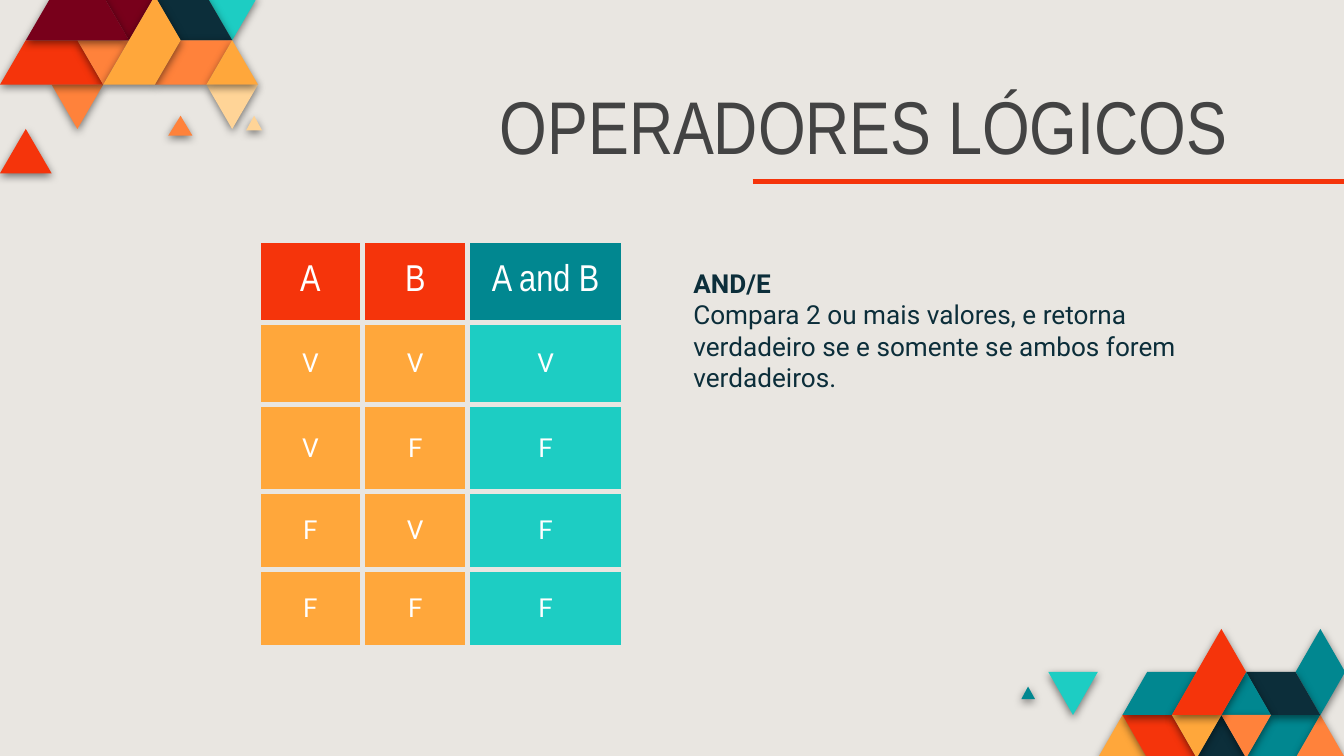
from pptx import Presentation
from pptx.dml.color import RGBColor
from pptx.enum.shapes import MSO_CONNECTOR
from pptx.enum.text import MSO_ANCHOR, PP_ALIGN
from pptx.oxml import parse_xml
from pptx.oxml.ns import nsdecls
from pptx.util import Inches, Pt

STRAIGHT = MSO_CONNECTOR.STRAIGHT
TOP, MIDDLE, BOTTOM = MSO_ANCHOR.TOP, MSO_ANCHOR.MIDDLE, MSO_ANCHOR.BOTTOM
LEFT, CENTER, RIGHT = PP_ALIGN.LEFT, PP_ALIGN.CENTER, PP_ALIGN.RIGHT

SAND = RGBColor(0xE9, 0xE6, 0xE1)
GRAY = RGBColor(0x43, 0x43, 0x43)
WHITE = RGBColor(0xFF, 0xFF, 0xFF)
WINE = RGBColor(0x78, 0x00, 0x1B)
RED = RGBColor(0xF5, 0x34, 0x0B)
ORANGE = RGBColor(0xFF, 0x82, 0x3B)
AMBER = RGBColor(0xFF, 0xA7, 0x3B)
CREAM = RGBColor(0xFF, 0xD4, 0x97)
AQUA = RGBColor(0x1D, 0xCD, 0xC3)
TEAL = RGBColor(0x01, 0x87, 0x90)
NAVY = RGBColor(0x0C, 0x2E, 0x3A)

HEADING_FONT, BODY_FONT = "Arial Narrow", "Roboto"

# The slide is a grid of 100 columns by 56.25 rows
COLUMNS, ROWS = 100, 56.25
UNIT = Inches(10) / COLUMNS
MARGIN = Inches(0.1)

# Mosaic tiles: colour and corners, counted in half tiles across and tiles down
TOP_TILES = [
    (WINE, [(6, 0), (5, 1), (4, 0)]),
    (AQUA, [(10, 0), (9, 1), (8, 0)]),
    (NAVY, [(9, 1), (7, 1), (6, 0), (8, 0)]),
    (CREAM, [(10, 2), (9, 3), (8, 2)]),
    (ORANGE, [(7.46, 3.15), (6.52, 3.15), (7, 2.7)]),
    (CREAM, [(10.16, 3.03), (9.54, 3.03), (9.85, 2.7)]),
    (ORANGE, [(9, 1), (8, 2), (6, 2), (7, 1)]),
    (AMBER, [(10, 2), (8, 2), (9, 1)]),
    (ORANGE, [(4, 2), (3, 3), (2, 2)]),
    (RED, [(2, 4), (0, 4), (1, 3)]),
    (RED, [(4, 2), (0, 2), (1, 1), (3, 1)]),
    (ORANGE, [(5, 1), (4, 2), (3, 1)]),
    (WINE, [(5, 1), (1, 1), (2, 0), (4, 0)]),
    (AMBER, [(7, 1), (6, 2), (4, 2), (6, 0)]),
]
BOTTOM_TILES = [
    (AMBER, [(2, 3), (3, 2), (4, 3)]),
    (RED, [(3, 2), (5, 2), (6, 3), (4, 3)]),
    (TEAL, [(8, 3), (9, 2), (11, 2), (10, 3)]),
    (ORANGE, [(10, 3), (11, 2), (12, 3)]),
    (NAVY, [(6, 3), (7, 2), (8, 3)]),
    (TEAL, [(3, 2), (4, 1), (6, 1), (5, 2)]),
    (TEAL, [(-1.09, 1.63), (-0.82, 1.34), (-0.54, 1.63)]),
    (AQUA, [(0, 1), (2, 1), (1, 2)]),
    (TEAL, [(10, 1), (11, 0), (12, 1), (11, 2)]),
    (NAVY, [(8, 1), (10, 1), (11, 2), (9, 2)]),
    (TEAL, [(7, 2), (8, 1), (9, 2)]),
    (ORANGE, [(7, 2), (9, 2), (8, 3)]),
    (AMBER, [(5, 2), (7, 2), (6, 3)]),
    (RED, [(5, 2), (7, 0), (8, 1), (7, 2)]),
]

TRUTH_TABLE = [
    ("A", "B", "A and B"),
    ("V", "V", "V"),
    ("V", "F", "F"),
    ("F", "V", "F"),
    ("F", "F", "F"),
]
TRUTH_COLUMNS = (7.8, 7.8, 11.6)
TRUTH_ROWS = (6.1, 6.1, 6.5, 5.8, 5.8)


def grid(*lengths):
    """Turn grid columns or rows into slide lengths."""
    return [round(length * UNIT) for length in lengths]


def style(paragraph, font_name, size, color, align, bold=False):
    paragraph.alignment = align
    font = paragraph.font
    font.name, font.size, font.bold = font_name, Pt(size), bold
    font.color.rgb = color


def set_margins(frame):
    frame.margin_left = frame.margin_right = MARGIN
    frame.margin_top = frame.margin_bottom = MARGIN


def add_text_box(slide, box, anchor):
    frame = slide.shapes.add_textbox(*grid(*box)).text_frame
    frame.word_wrap = True
    frame.vertical_anchor = anchor
    set_margins(frame)
    return frame


def add_mosaic(slide, left, top, half_tile, tile_height, tiles):
    mosaic = slide.shapes.add_group_shape()
    for color, corners in tiles:
        points = [grid(left + x * half_tile, top + y * tile_height)
                  for x, y in corners]
        outline = mosaic.shapes.build_freeform(*points[0])
        outline.add_line_segments(points[1:], close=True)
        tile = outline.convert_to_shape()
        tile.fill.solid()
        tile.fill.fore_color.rgb = color
        tile.line.fill.background()
        # Soft shadow straight below the tile
        tile._element.spPr.append(parse_xml(
            f'<a:effectLst {nsdecls("a")}>'
            f'<a:outerShdw blurRad="{Pt(4.5)}" dist="{Pt(1.5)}" dir="5400000"'
            ' algn="bl" rotWithShape="0"><a:srgbClr val="000000">'
            '<a:alpha val="50000"/></a:srgbClr></a:outerShdw></a:effectLst>'))


def add_heading(slide, box):
    left, top, width, height = box
    heading = add_text_box(slide, box, BOTTOM).paragraphs[0]
    heading.text = "OPERADORES LÓGICOS"
    heading.line_spacing = 0.8
    style(heading, HEADING_FONT, 40, GRAY, RIGHT)

    # Rule that runs to the right edge of the slide
    rule_top = top + height - 0.1
    rule = slide.shapes.add_connector(
        STRAIGHT, *grid(left + width / 2 + 0.25, rule_top, COLUMNS, rule_top))
    rule.line.color.rgb = RED
    rule.line.width = Pt(2.25)
    rule._element.spPr.append(parse_xml(f'<a:effectLst {nsdecls("a")}/>'))


def add_cell_borders(cell):
    properties = cell._tc.get_or_add_tcPr()
    for position, side in enumerate(("lnL", "lnR", "lnT", "lnB")):
        properties.insert(position, parse_xml(
            f'<a:{side} {nsdecls("a")} w="{Pt(3)}"><a:solidFill>'
            f'<a:srgbClr val="{SAND}"/></a:solidFill></a:{side}>'))


def add_truth_table(slide, left, top):
    box = (left, top, sum(TRUTH_COLUMNS), sum(TRUTH_ROWS))
    table = slide.shapes.add_table(
        len(TRUTH_ROWS), len(TRUTH_COLUMNS), *grid(*box)).table
    table.first_row = table.horz_banding = False
    for column, width in zip(table.columns, grid(*TRUTH_COLUMNS)):
        column.width = width
    for row, height in zip(table.rows, grid(*TRUTH_ROWS)):
        row.height = height

    for r, values in enumerate(TRUTH_TABLE):
        input_color, result_color = (AMBER, AQUA) if r else (RED, TEAL)
        font_name, size = (BODY_FONT, 14) if r else (HEADING_FONT, 20)
        for c, value in enumerate(values):
            cell = table.cell(r, c)
            cell.text = value
            cell.vertical_anchor = MIDDLE
            set_margins(cell)
            cell.fill.solid()
            is_result = c == len(values) - 1
            cell.fill.fore_color.rgb = result_color if is_result else input_color
            add_cell_borders(cell)
            style(cell.text_frame.paragraphs[0], font_name, size, WHITE, CENTER)


def add_explanation(slide, box):
    frame = add_text_box(slide, box, TOP)
    operator = frame.paragraphs[0]
    operator.text = "AND/E"
    style(operator, BODY_FONT, 14, NAVY, LEFT, bold=True)
    meaning = frame.add_paragraph()
    meaning.text = ("Compara 2 ou mais valores, e retorna verdadeiro "
                    "se e somente se ambos forem verdadeiros.")
    style(meaning, BODY_FONT, 14, NAVY, LEFT)


def main():
    deck = Presentation()
    deck.slide_width, deck.slide_height = grid(COLUMNS, ROWS)
    slide = deck.slides.add_slide(deck.slide_layouts[6])
    slide.background.fill.solid()
    slide.background.fill.fore_color.rgb = SAND

    add_mosaic(slide, 0, -0.3, 1.92, 3.3, TOP_TILES)
    add_mosaic(slide, 78, 46.8, 1.84, 3.2, BOTTOM_TILES)
    add_heading(slide, (19.2, 7.3, 73.1, 6.3))
    add_truth_table(slide, 19.2, 17.9)
    add_explanation(slide, (50.6, 18.9, 42.1, 22.9))
    deck.save("out.pptx")


if __name__ == "__main__":
    main()
